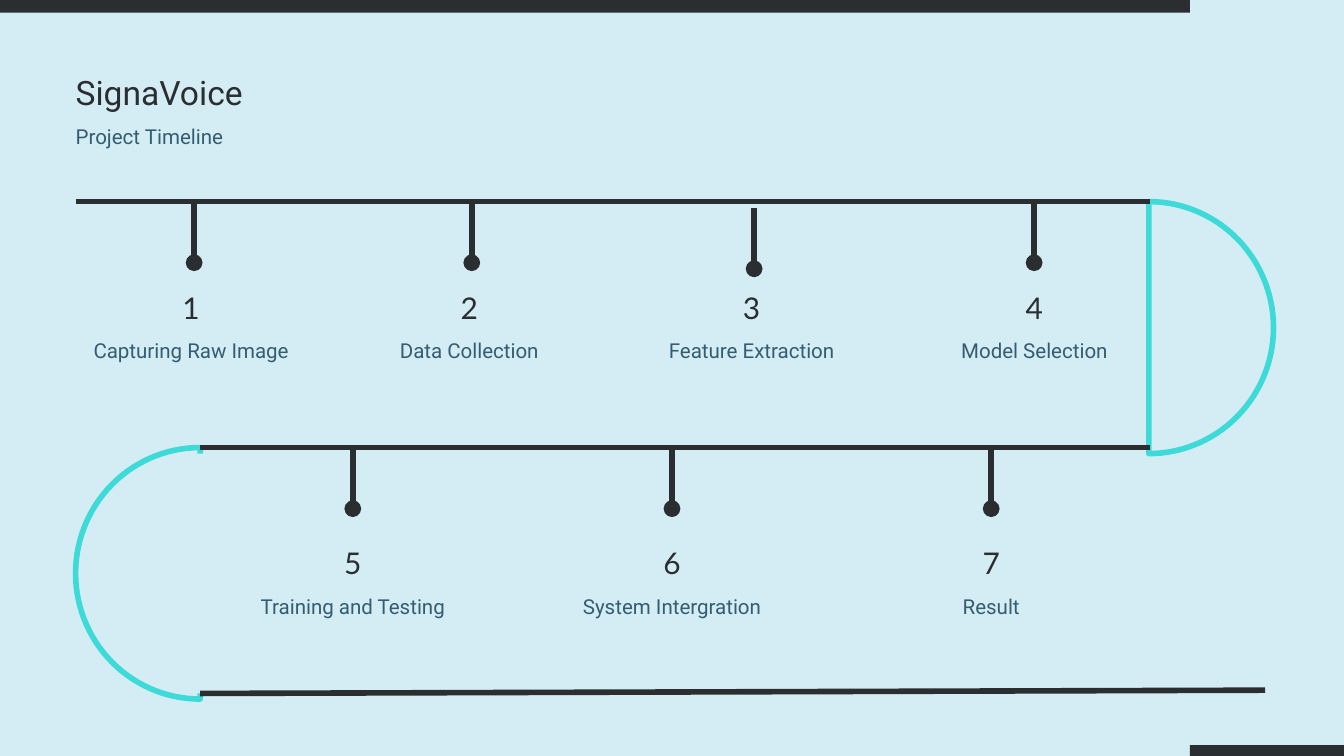
from math import cos, pi, sin

from lxml import etree
from pptx import Presentation
from pptx.dml.color import RGBColor
from pptx.enum.shapes import MSO_CONNECTOR, MSO_SHAPE
from pptx.enum.text import MSO_AUTO_SIZE, PP_ALIGN
from pptx.oxml.ns import qn
from pptx.util import Pt

RECT = MSO_SHAPE.RECTANGLE
STRAIGHT = MSO_CONNECTOR.STRAIGHT
GROW = MSO_AUTO_SIZE.SHAPE_TO_FIT_TEXT
LEFT, CENTER = PP_ALIGN.LEFT, PP_ALIGN.CENTER

COLORS = {"sky": "D4EDF4", "ink": "2A2E30", "aqua": "3EDAD8", "slate": "345C72"}
WIDE, HIGH = 1440, 810
STROKE = 6
STEM = 65.5

# text, pin x, label left, label width, pin drop; x is relative to the row
TOP_STEPS = [
    ("Capturing Raw Image", 127, 0, 247.5, 0),
    ("Data Collection", 424.5, 298, 247.5, 0),
    ("Feature Extraction", 727, 595, 258.5, 6.5),
    ("Model Selection", 1027, 903.5, 247.5, 0),
]
LOW_STEPS = [
    (text, 163.5 + 342 * i, 39.75 + 342 * i, 247.5, 0)
    for i, text in enumerate(["Training and Testing", "System Intergration", "Result"])
]


def color(name):
    return RGBColor.from_string(COLORS[name])


def add_block(slide, x, y, w, h, fill):
    block = slide.shapes.add_shape(RECT, Pt(x), Pt(y), Pt(w), Pt(h))
    block.shadow.inherit = False
    block.fill.solid()
    block.fill.fore_color.rgb = color(fill)
    block.line.fill.background()


def add_line(slide, x1, y1, x2, y2, dot=False):
    """Draw a thick dark line, with a round dot at its end if asked."""
    line = slide.shapes.add_connector(STRAIGHT, Pt(x1), Pt(y1), Pt(x2), Pt(y2))
    line.line.color.rgb = color("ink")
    line.line.width = Pt(STROKE)
    if dot:
        etree.SubElement(line.line._get_or_add_ln(), qn("a:tailEnd"), type="oval")
    etree.SubElement(line._element.spPr, qn("a:effectLst"))


def add_text(slide, x, y, w, h, text, size, lead, font, tint, align=LEFT):
    box = slide.shapes.add_textbox(Pt(x), Pt(y), Pt(w), Pt(h))
    frame = box.text_frame
    frame.word_wrap = True
    frame.auto_size = GROW
    frame.margin_left = frame.margin_right = 0
    frame.margin_top = frame.margin_bottom = 0
    para = frame.paragraphs[0]
    para.text = text
    para.alignment = align
    para.line_spacing = Pt(lead)
    para.font.size = Pt(size)
    para.font.name = font
    para.font.color.rgb = color(tint)


def add_bend(slide, x, y, w, h, right):
    """Draw a closed half ellipse that bulges right or left in its box."""
    steps = 60
    base, reach = (x, w) if right else (x + w, -w)
    points = []
    for i in range(steps + 1):
        turn = pi * i / steps
        points.append((Pt(base + reach * sin(turn)), Pt(y + h / 2 * (1 - cos(turn)))))
    path = slide.shapes.build_freeform(*points[0])
    path.add_line_segments(points[1:], close=True)
    bend = path.convert_to_shape()
    bend.shadow.inherit = False
    bend.fill.background()
    bend.line.color.rgb = color("aqua")
    bend.line.width = Pt(STROKE)


def add_header(slide, x, y, w):
    add_text(slide, x, y, w, 44, "SignaVoice", 36, 46.8, "Roboto", "ink")
    add_text(slide, x, y + 52.5, w, 29.5, "Project Timeline", 22, 33, "Roboto", "slate")


def add_row(slide, x, y, w, steps, first, gap):
    """Draw a track with numbered pins; gap runs from track to numbers."""
    add_line(slide, x, y, x + w, y)
    for number, (text, pin, left, width, drop) in enumerate(steps, first):
        top = y + drop
        add_line(slide, x + pin, top, x + pin, top + STEM, dot=True)
        add_text(slide, x + left, y + gap, width, 40, str(number),
                 32, 41.6, "Lato", "ink", CENTER)
        add_text(slide, x + left, y + gap + 49, width, 29.5, text,
                 22, 33, "Roboto", "slate", CENTER)


def add_bars(slide, split):
    add_block(slide, 0, 0, split, 13.5, "ink")
    add_block(slide, split, HIGH - 11.5, WIDE - split, 11.5, "ink")


def main():
    deck = Presentation()
    deck.slide_width, deck.slide_height = Pt(WIDE), Pt(HIGH)
    slide = deck.slides.add_slide(deck.slide_layouts[6])
    slide.background.fill.solid()
    slide.background.fill.fore_color.rgb = color("sky")

    add_bend(slide, 1231, 216, 133.5, 270, right=True)
    add_bend(slide, 81, 479.5, 133.5, 269.5, right=False)
    add_block(slide, 208, 486, 90, 257, "sky")  # opens the left bend
    add_line(slide, 214.5, 743, 1355.5, 739.5)
    add_bars(slide, 1275)
    add_row(slide, 81, 216, 1151, TOP_STEPS, 1, 91)
    add_row(slide, 214.5, 479.5, 1017.5, LOW_STEPS, 5, 101)
    add_header(slide, 81, 73.5, 964)
    deck.save("out.pptx")


if __name__ == "__main__":
    main()
